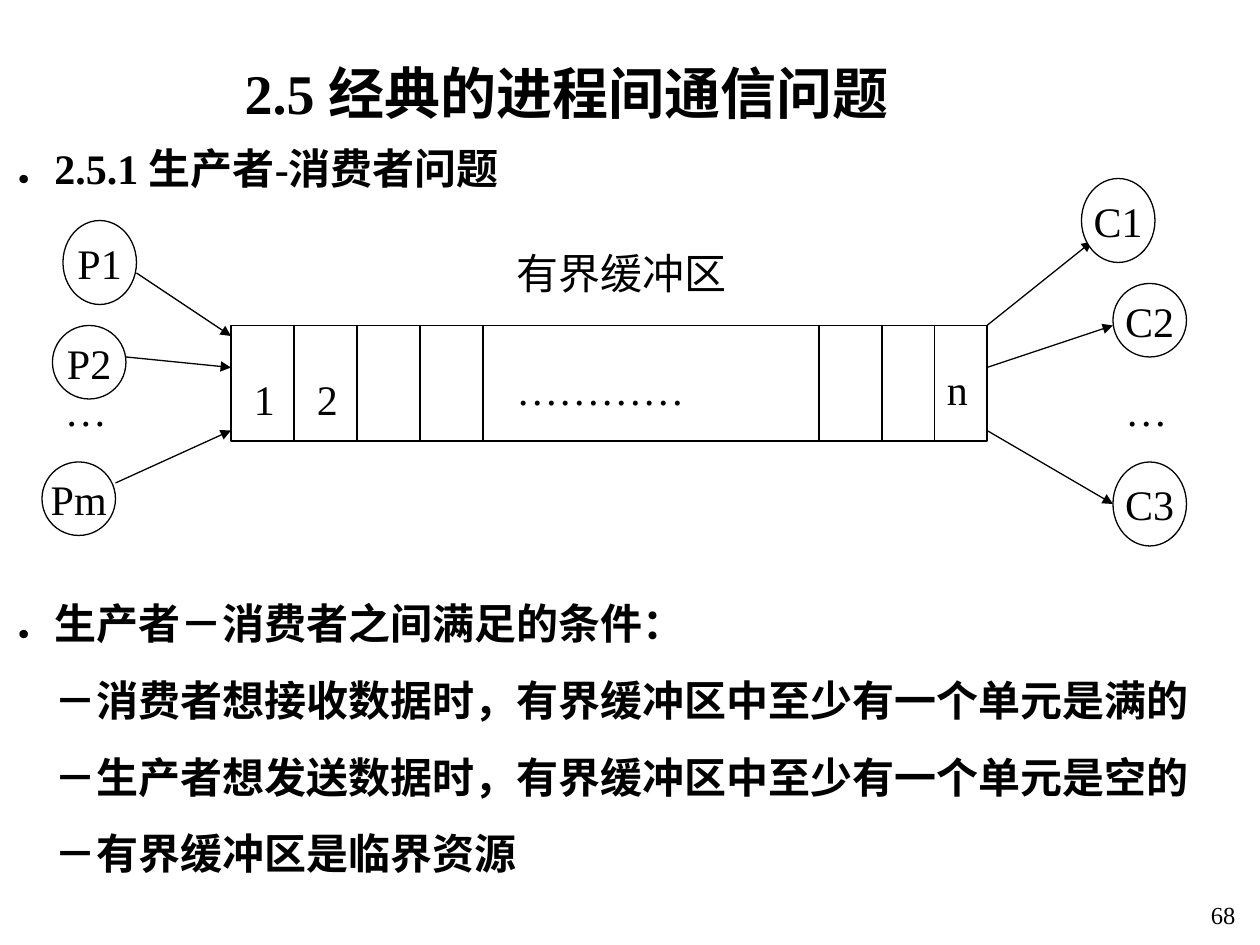
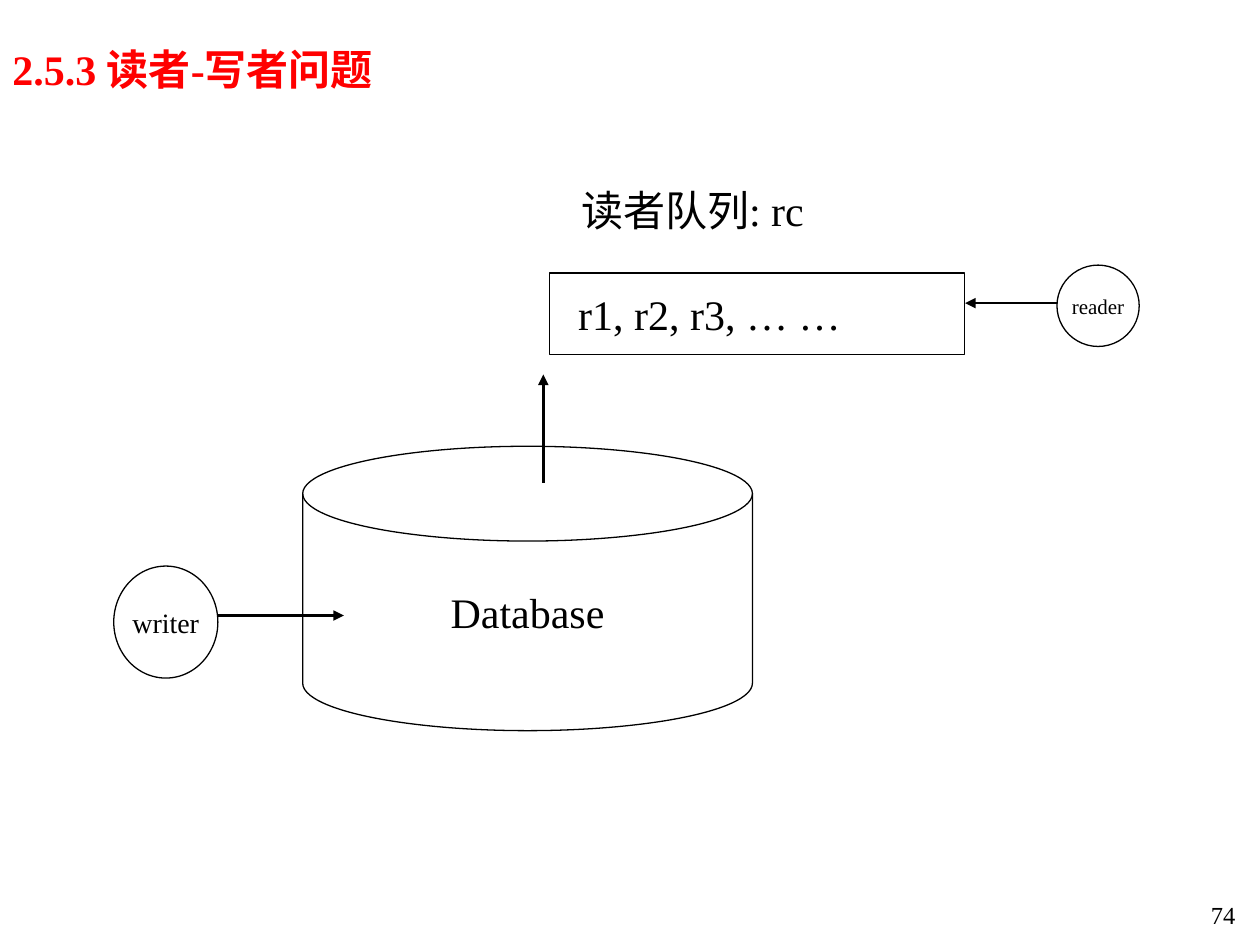
from dataclasses import dataclass

from lxml import etree
from pptx import Presentation
from pptx.dml.color import RGBColor
from pptx.enum.shapes import MSO_CONNECTOR as Connector, MSO_SHAPE as Preset
from pptx.enum.text import MSO_ANCHOR as Anchor, PP_ALIGN as Align
from pptx.oxml.ns import qn
from pptx.util import Pt


@dataclass(frozen=True)
class Theme:
    font: str = "Times New Roman"
    ink: RGBColor = RGBColor(0, 0, 0)
    paper: RGBColor = RGBColor(255, 255, 255)
    accent: RGBColor = RGBColor(255, 0, 0)
    title: int = 32
    body: int = 24
    writer: int = 16
    footer: int = 14
    reader: int = 12
    thin: float = 0.75
    medium: float = 1.5
    thick: float = 2


THEME = Theme()

# Producer-consumer slide: places are left, top, width, height in points.
CHAPTER = "2.5 经典的进程间通信问题"
SECTION = "．2.5.1 生产者-消费者问题"
BUFFER = (132, 186, 432, 66)
DIVIDERS = (168, 204, 240, 276, 468, 504, 534)
BUFFER_LABELS = [
    ("有界缓冲区", (288, 138, 156, 36)),
    ("1", (138, 210, 24, 36)),
    ("2", (174, 210, 48, 36)),
    ("…………", (288, 204, 174, 36)),
    ("n", (534, 204, 30, 36)),
    ("…", (30, 216, 42, 36)),
    ("…", (636, 216, 48, 36)),
]
PROCESSES = [
    ("P1", (36, 126, 42, 48)),
    ("P2", (30, 186, 42, 42)),
    ("Pm", (24, 264, 42, 42)),
    ("C1", (618, 102, 42, 48)),
    ("C2", (636, 162, 42, 42)),
    ("C3", (636, 264, 42, 48)),
]
# Each entry: point at the process, then height at the buffer edge.
PRODUCER_ENDS = [((78, 156), 192), ((72, 204), 210), ((66, 276), 246)]
CONSUMER_ENDS = [((624, 138), 186), ((636, 186), 210), ((636, 288), 246)]
CONDITIONS = [
    "．生产者－消费者之间满足的条件：",
    "－消费者想接收数据时，有界缓冲区中至少有一个单元是满的",
    "－生产者想发送数据时，有界缓冲区中至少有一个单元是空的",
    "－有界缓冲区是临界资源",
]

# Reader-writer slide
READERS_TITLE = "2.5.3 读者-写者问题"
QUEUE_LABEL = ("读者队列: rc", (325, 102, 269, 36))
QUEUE = ("r1, r2, r3, … …", (314, 156, 237, 46.5))
DATABASE = ("Database", (173, 255, 257, 162.5))
ACTORS = [
    ("reader", (604, 151.5, 47, 46.5), THEME.reader),
    ("writer", (65, 323.5, 59.5, 64), THEME.writer),
]
FLOWS = [
    ((310.5, 276), (310.5, 214), THEME.thick),
    ((604, 173.25), (551.5, 173.25), THEME.medium),
    ((124.5, 351.75), (196.5, 351.75), THEME.thick),
]


def points(values):
    return [Pt(value) for value in values]


def assign(target, **values):
    for name, value in values.items():
        setattr(target, name, value)


def write(box, lines, size=THEME.body, color=THEME.ink, bold=False,
          align=Align.LEFT, anchor=Anchor.TOP, wrap=True, inset=7.2, hang=0):
    """Fill a box; hang indents every line after the first."""
    frame = box.text_frame
    assign(frame, word_wrap=wrap, vertical_anchor=anchor, margin_left=Pt(inset))
    for index, line in enumerate(lines):
        para = frame.add_paragraph() if index else frame.paragraphs[0]
        para.alignment = align
        if index:
            para.space_before = Pt(15)
            para._p.get_or_add_pPr().set("marL", str(Pt(hang)))
        span = para.add_run()
        span.text = line
        assign(span.font, name=THEME.font, size=Pt(size), bold=bold)
        span.font.color.rgb = color


def add_text(page, place, *lines, **style):
    write(page.shapes.add_textbox(*points(place)), lines, **style)


def add_outline(page, preset, place, text=None, **style):
    """Add a white shape with a thin line and, if given, centred text."""
    shape = page.shapes.add_shape(preset, *points(place))
    shape.shadow.inherit = False
    shape.fill.solid()
    shape.fill.fore_color.rgb = THEME.paper
    shape.line.color.rgb = THEME.ink
    shape.line.width = Pt(THEME.thin)
    if text:
        centred = dict(align=Align.CENTER, anchor=Anchor.MIDDLE, wrap=False)
        write(shape, [text], **{**centred, **style})


def add_line(page, start, end, width=THEME.thin, arrow=True):
    line = page.shapes.add_connector(Connector.STRAIGHT, *points(start + end))
    line.line.color.rgb = THEME.ink
    line.line.width = Pt(width)
    properties = line._element.spPr
    if arrow:
        etree.SubElement(properties.find(qn("a:ln")), qn("a:tailEnd"), type="triangle")
    etree.SubElement(properties, qn("a:effectLst"))


def add_page(deck, number):
    page = deck.slides.add_slide(deck.slide_layouts[6])
    page.background.fill.solid()
    page.background.fill.fore_color.rgb = THEME.paper
    add_text(page, (674, 511, 39, 29), str(number), size=THEME.footer, align=Align.RIGHT)
    return page


def build_producers(deck):
    page = add_page(deck, 68)
    add_text(page, (18, 30, 612, 46), CHAPTER, size=THEME.title, bold=True, align=Align.CENTER)
    add_text(page, (0, 78, 420, 36), SECTION, bold=True)
    left, top, width, height = BUFFER
    add_outline(page, Preset.RECTANGLE, BUFFER)
    for x in DIVIDERS:
        add_line(page, (x, top), (x, top + height), arrow=False)
    for producer, y in PRODUCER_ENDS:
        add_line(page, producer, (left, y))
    for consumer, y in CONSUMER_ENDS:
        add_line(page, (left + width, y), consumer)
    for name, place in PROCESSES:
        add_outline(page, Preset.OVAL, place, name)
    for label, place in BUFFER_LABELS:
        add_text(page, place, label)
    add_text(page, (0, 338, 720, 168), *CONDITIONS, bold=True, hang=THEME.body)


def build_readers(deck):
    page = add_page(deck, 74)
    add_text(page, (0, 15, 702, 49), READERS_TITLE, color=THEME.accent, bold=True,
             anchor=Anchor.MIDDLE)
    database, place = DATABASE
    add_outline(page, Preset.FLOWCHART_MAGNETIC_DISK, place, database)
    queue, place = QUEUE
    add_outline(page, Preset.RECTANGLE, place, queue, align=Align.LEFT, wrap=True, inset=16.4)
    label, place = QUEUE_LABEL
    add_text(page, place, label)
    for start, end, width in FLOWS:
        add_line(page, start, end, width)
    for name, place, size in ACTORS:
        add_outline(page, Preset.OVAL, place, name, size=size)


def main():
    deck = Presentation()
    assign(deck, slide_width=Pt(720), slide_height=Pt(540))
    build_producers(deck)
    build_readers(deck)
    deck.save("out.pptx")


if __name__ == "__main__":
    main()
